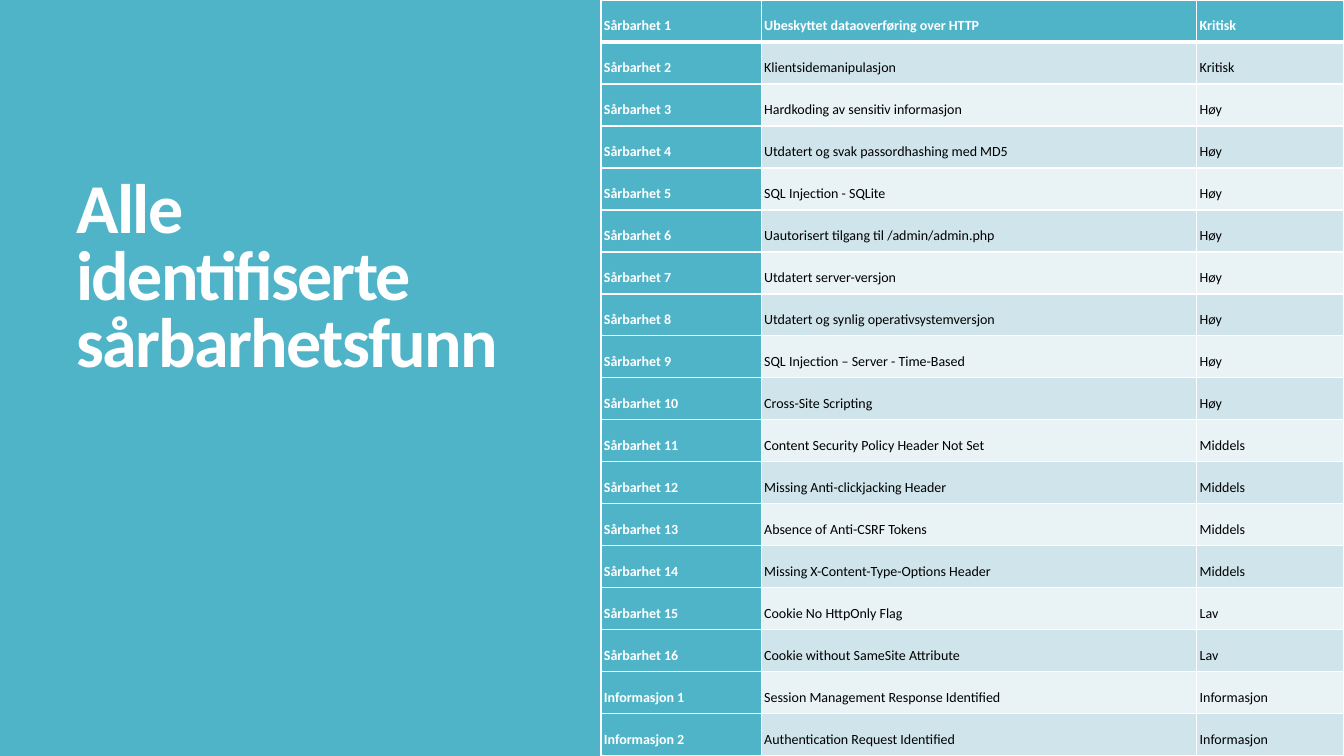
from lxml import etree
from pptx import Presentation, util as u
from pptx.dml.color import RGBColor
from pptx.enum import shapes, text
from pptx.oxml.ns import qn

COLORS = {"teal": "50B4C8", "white": "FFFFFF", "black": "000000",
          "band": "D0E5EB", "pale": "E9F2F5"}
FONT = "Calibri"
COLUMNS = (1.59, 4.32, 1.46)
FINDINGS = [
    ("Sårbarhet 1", "Ubeskyttet dataoverføring over HTTP", "Kritisk"),
    ("Sårbarhet 2", "Klientsidemanipulasjon", "Kritisk"),
    ("Sårbarhet 3", "Hardkoding av sensitiv informasjon", "Høy"),
    ("Sårbarhet 4", "Utdatert og svak passordhashing med MD5", "Høy"),
    ("Sårbarhet 5", "SQL Injection - SQLite", "Høy"),
    ("Sårbarhet 6", "Uautorisert tilgang til /admin/admin.php", "Høy"),
    ("Sårbarhet 7", "Utdatert server-versjon", "Høy"),
    ("Sårbarhet 8", "Utdatert og synlig operativsystemversjon", "Høy"),
    ("Sårbarhet 9", "SQL Injection – Server - Time-Based", "Høy"),
    ("Sårbarhet 10", "Cross-Site Scripting", "Høy"),
    ("Sårbarhet 11", "Content Security Policy Header Not Set", "Middels"),
    ("Sårbarhet 12", "Missing Anti-clickjacking Header", "Middels"),
    ("Sårbarhet 13", "Absence of Anti-CSRF Tokens", "Middels"),
    ("Sårbarhet 14", "Missing X-Content-Type-Options Header", "Middels"),
    ("Sårbarhet 15", "Cookie No HttpOnly Flag", "Lav"),
    ("Sårbarhet 16", "Cookie without SameSite Attribute", "Lav"),
    ("Informasjon 1", "Session Management Response Identified", "Informasjon"),
    ("Informasjon 2", "Authentication Request Identified", "Informasjon"),
]


def rgb(name):
    """Return the named colour."""
    return RGBColor.from_string(COLORS[name])


def inches(*lengths):
    """Convert several lengths to inches."""
    return [u.Inches(length) for length in lengths]


def add_run(para, words, size, color, bold):
    """Add one styled run to a paragraph."""
    span = para.add_run()
    span.text = words
    span.font.name = FONT
    span.font.size = u.Pt(size)
    span.font.bold = bold
    span.font.color.rgb = rgb(color)
    return span


def add_panel(page, box, color):
    """Fill the box with a plain rectangle."""
    panel = page.shapes.add_shape(shapes.MSO_SHAPE.RECTANGLE, *inches(*box))
    panel.shadow.inherit = False
    panel.fill.solid()
    panel.fill.fore_color.rgb = rgb(color)
    panel.line.fill.background()


def add_title(page, box):
    """Place the heading near the bottom of its box."""
    frame = page.shapes.add_textbox(*inches(*box)).text_frame
    frame.word_wrap = True
    frame.vertical_anchor = text.MSO_ANCHOR.BOTTOM
    frame.margin_bottom = u.Inches(0.73)
    para = frame.paragraphs[0]
    para.line_spacing = 0.8
    span = add_run(para, "Alle identifiserte sårbarhetsfunn", 50, "white", True)
    span.font._element.set("spc", "-120")


def set_borders(cell, widths):
    """Draw white cell borders with the given widths by side."""
    properties = cell._tc.get_or_add_tcPr()
    for position, (side, width) in enumerate(widths.items()):
        line = etree.Element(qn(f"a:ln{side}"), w=str(u.Pt(width)))
        fill = etree.SubElement(line, qn("a:solidFill"))
        etree.SubElement(fill, qn("a:srgbClr"), val=COLORS["white"])
        properties.insert(position, line)


def fill_cell(cell, words, row, column):
    """Style one cell by its row and column, and write its words."""
    heading = row == 0 or column == 0
    cell.fill.solid()
    cell.fill.fore_color.rgb = rgb("teal" if heading else "band" if row % 2 else "pale")
    set_borders(cell, {"L": 1, "R": 1, "T": 3 if row == 1 else 1,
                       "B": 3 if row == 0 else 1})
    cell.margin_left = cell.margin_right = u.Inches(0.03)
    cell.margin_top = cell.margin_bottom = 0
    para = cell.text_frame.paragraphs[0]
    para.line_spacing = 2.0
    para.space_after = u.Pt(8)
    add_run(para, words, 10, "white" if heading else "black", heading)


def add_findings(page, box):
    """Fill the box with the table of findings on a white panel."""
    add_panel(page, box, "white")
    table = page.shapes.add_table(len(FINDINGS), len(COLUMNS), *inches(*box)).table
    table.first_col = True
    for column, width in zip(table.columns, COLUMNS):
        column.width = u.Inches(width)
    for row, finding in enumerate(FINDINGS):
        table.rows[row].height = u.Inches(box[3] / len(FINDINGS))
        for column, words in enumerate(finding):
            fill_cell(table.cell(row, column), words, row, column)


def main():
    """Build and save the deck."""
    deck = Presentation()
    deck.slide_width, deck.slide_height = inches(13.33, 7.5)
    page = deck.slides.add_slide(deck.slide_layouts[6])
    page.background.fill.solid()
    page.background.fill.fore_color.rgb = rgb("teal")
    add_panel(page, (0, 0, 13.33, 7.5), "teal")
    add_title(page, (0.66, 0.84, 4.6, 3.67))
    add_findings(page, (5.96, 0, 7.37, 7.5))
    deck.save("out.pptx")


if __name__ == "__main__":
    main()
